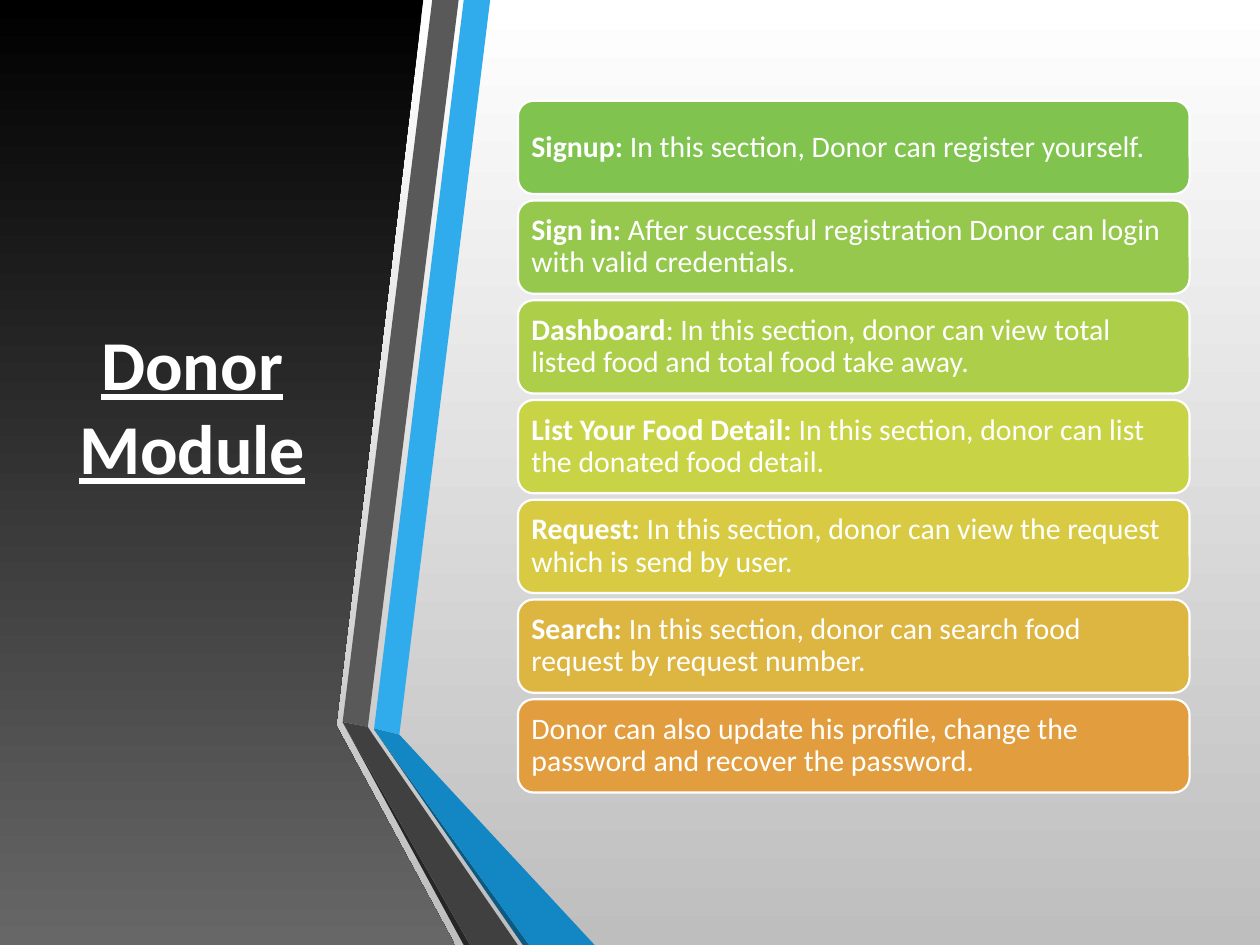
from pptx import Presentation
from pptx.dml.color import RGBColor
from pptx.enum.shapes import MSO_SHAPE as SHAPE
from pptx.enum.text import MSO_ANCHOR as ANCHOR, MSO_AUTO_SIZE as AUTO, PP_ALIGN as ALIGN
from pptx.util import Pt

# Content
TITLE = "Donor Module"
CARDS = [  # fill, bold lead, text
    ("80C34F", "Signup:", " In this section, Donor can register yourself."),
    ("95C84C", "Sign in:", " After successful registration Donor can login with valid credentials."),
    ("ADCE49", "Dashboard", ": In this section, donor can view total listed food and total food take away."),
    ("C8D346", "List Your Food Detail:", " In this section, donor can list the donated food detail."),
    ("D8CB43", "Request:", " In this section, donor can view the request which is send by user."),
    ("DDB541", "Search:", " In this section, donor can search food request by request number."),
    ("E29D3E", "", "Donor can also update his profile, change the password and recover the password."),
]

# Slide and artwork geometry, in points
W, H = 720, 540
BACKDROP = ("FFFFFF", "BEBEBE")
PANEL = [(190, 0), (241.9, 0), (192.2, 414), (192.2, 414.7), (260, H), (0, H), (0, 0)]
RIBBONS = [
    ("30ACEC", [(213.8, 416.2), (228.2, 419.8), (280.1, 0), (265, 0)]),
    ("595959", [(262.1, 0), (247, 0), (195.8, 412.6), (210.2, 415.4)]),
    ("262626", [(195.8, 412.6), (265, H), (268.6, H)]),
    ("0C5A82", [(213.8, 416.9), (298.8, H), (302.4, H)]),
    ("1287C3", [(213.8, 416.9), (302.4, H), (339.8, H), (228.2, 419.8), (213.8, 416.2)]),
    ("404040", [(295.9, H), (213.1, 419.8), (210.2, 415.4), (195.8, 412.6), (268.6, H)]),
]
CARD_X, CARD_Y, CARD_W, CARD_H, CARD_STEP = 296, 57.6, 383.8, 53.3, 57


def rgb(code):
    return RGBColor.from_string(code)


def paint(fill, *colors):
    """One colour gives a solid fill, two a gradient from top to bottom."""
    if len(colors) == 1:
        fill.solid()
        fill.fore_color.rgb = rgb(colors[0])
        return
    fill.gradient()
    fill.gradient_angle = 270
    for stop, color in zip(fill.gradient_stops, colors):
        stop.color.rgb = rgb(color)


def finish(sp, *colors):
    sp.shadow.inherit = False
    sp.line.fill.background()
    paint(sp.fill, *colors)
    return sp


def add_outline(shapes, points, *colors):
    corners = [(Pt(x), Pt(y)) for x, y in points]
    builder = shapes.build_freeform(*corners[0], scale=1.0)
    builder.add_line_segments(corners[1:], close=True)
    return finish(builder.convert_to_shape(), *colors)


def add_run(p, text, size=17, bold=False, underline=False, color="FFFFFF"):
    r = p.add_run()
    r.text = text
    font = r.font
    font.name, font.size, font.bold, font.underline = "Calibri", Pt(size), bold, underline
    font.color.rgb = rgb(color)


def set_frame(tf, left, top, right, bottom):
    tf.word_wrap, tf.auto_size, tf.vertical_anchor = True, AUTO.NONE, ANCHOR.MIDDLE
    tf.margin_left, tf.margin_top = Pt(left), Pt(top)
    tf.margin_right, tf.margin_bottom = Pt(right), Pt(bottom)


prs = Presentation()
prs.slide_width, prs.slide_height = Pt(W), Pt(H)
s = prs.slides.add_slide(prs.slide_layouts[5])

# Backdrop and dark panel
paint(s.background.fill, *BACKDROP)
finish(s.shapes.add_shape(SHAPE.RECTANGLE, 0, 0, Pt(W), Pt(H)), *BACKDROP)
add_outline(s.shapes, PANEL, "000000", "676767")

# Title, brought in front of the panel
title = s.shapes.title
title.element.getparent().append(title.element)
title.left, title.top, title.width, title.height = Pt(31.7), Pt(54), Pt(156.2), Pt(401.8)
set_frame(title.text_frame, 7.2, 3.6, 7.2, 51.6)
p = title.text_frame.paragraphs[0]
p.alignment = ALIGN.CENTER
add_run(p, TITLE, size=40, bold=True, underline=True)

# Folded ribbons
ribbons = s.shapes.add_group_shape()
for color, points in RIBBONS:
    add_outline(ribbons.shapes, points, color)

# Feature cards
cards = s.shapes.add_group_shape()
for i, (color, lead, text) in enumerate(CARDS):
    card = cards.shapes.add_shape(SHAPE.ROUNDED_RECTANGLE, Pt(CARD_X), Pt(CARD_Y + i * CARD_STEP),
                                  Pt(CARD_W), Pt(CARD_H))
    finish(card, color)
    paint(card.line.fill, "FFFFFF")
    card.line.width = Pt(1.25)
    set_frame(card.text_frame, 5.1, 5.1, 5.1, 5.1)
    p = card.text_frame.paragraphs[0]
    p.alignment, p.line_spacing = ALIGN.LEFT, 0.9
    if lead:
        add_run(p, lead, bold=True)
    add_run(p, text)

prs.save("out.pptx")
